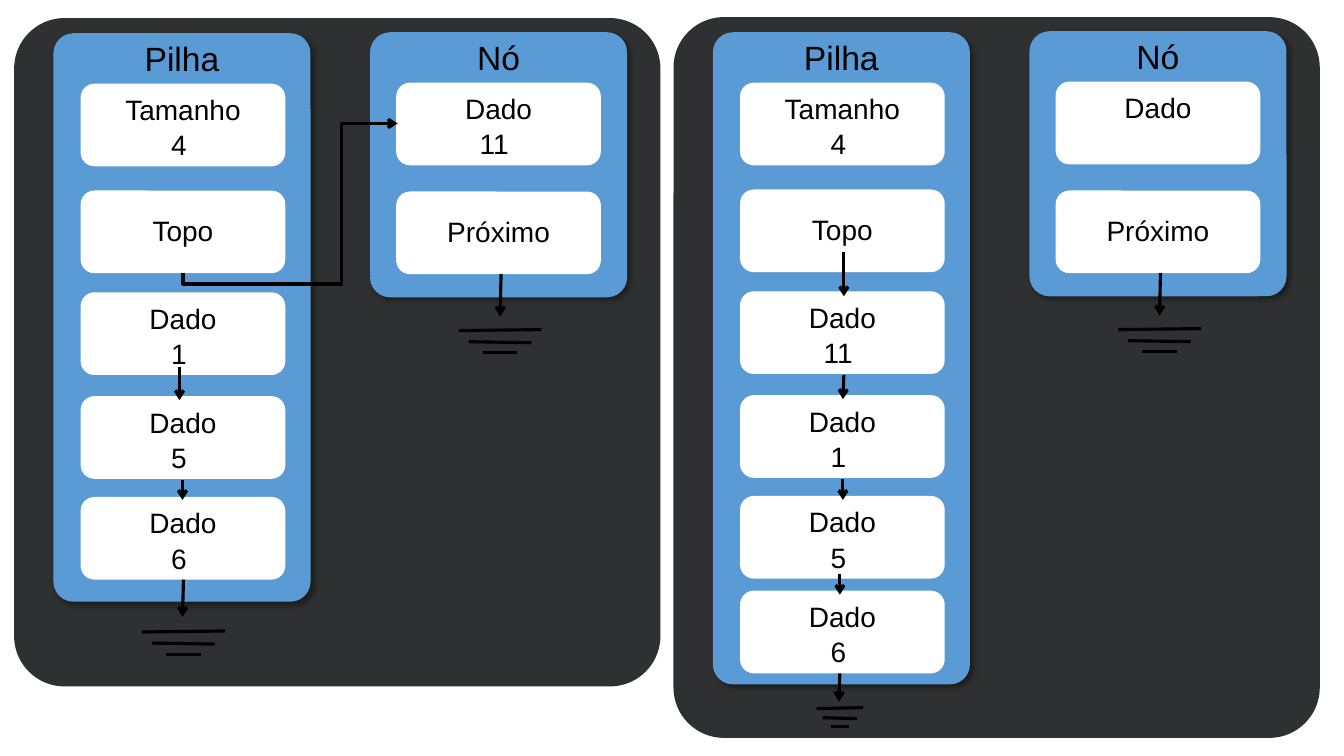
from dataclasses import dataclass

from lxml.etree import SubElement
from pptx import Presentation
from pptx.dml.color import RGBColor as Color
from pptx.enum.shapes import MSO_CONNECTOR as Connector, MSO_SHAPE as Shape
from pptx.enum.text import MSO_AUTO_SIZE as AutoSize, PP_ALIGN as Align
from pptx.oxml.ns import qn
from pptx.util import Pt

EMU_PER_PX = 9144  # 100 px to the inch


@dataclass(frozen=True)
class Theme:
    panel: Color = Color(0x2F, 0x30, 0x31)
    card: Color = Color(0x5B, 0x9B, 0xD5)
    field: Color = Color(0xFF, 0xFF, 0xFF)
    ink: Color = Color(0, 0, 0)
    font: str = "Arial"
    title_size: int = 24
    body_size: int = 20
    line_width: float = 2.25
    card_corner: float = 0.078
    field_corner: float = 0.167


THEME = Theme()
FIELD_WIDTH, FIELD_HEIGHT = 203, 82
CARD_WIDTH = 255
STACK_FIELD_TOPS = (50, 156, 257, 360, 460, 554)
NODE_FIELD_TOPS = (50, 158)
LARGE_GROUND = (82, 62, 34)
SMALL_GROUND = (46, 34, 18)
GROUND_TILTS = (-1, 1, 0)


def px(*lengths):
    return [length * EMU_PER_PX for length in lengths]


def set_values(target, values):
    for name, value in values.items():
        setattr(target, name, value)


def add_round_box(slide, bounds, color, corner):
    shape = slide.shapes.add_shape(Shape.ROUNDED_RECTANGLE, *px(*bounds))
    shape.adjustments[0] = corner
    shape.shadow.inherit = False
    shape.fill.solid()
    shape.fill.fore_color.rgb = color
    shape.line.fill.background()
    return shape


def add_drop_shadow(shape):
    effects = shape._element.spPr.find(qn("a:effectLst"))
    shadow = SubElement(effects, qn("a:outerShdw"), blurRad="50800", dist="38100",
                        dir="2700000", algn="tl", rotWithShape="0")
    color = SubElement(shadow, qn("a:srgbClr"), val=str(THEME.ink))
    SubElement(color, qn("a:alpha"), val="40000")


def add_text(slide, bounds, text, size=THEME.body_size, alignment=Align.CENTER):
    frame = slide.shapes.add_textbox(*px(*bounds)).text_frame
    set_values(frame, {"word_wrap": True, "auto_size": AutoSize.SHAPE_TO_FIT_TEXT})
    paragraph = frame.paragraphs[0]
    paragraph.alignment = alignment
    run = paragraph.add_run()
    run.text = text
    set_values(run.font, {"name": THEME.font, "size": Pt(size)})
    run.font.color.rgb = THEME.ink


def add_field(slide, left, top, label, value=None):
    """A white box: a lone label sits in the middle, one with a value at the top."""
    add_round_box(slide, (left, top, FIELD_WIDTH, FIELD_HEIGHT),
                  THEME.field, THEME.field_corner)
    label_drop = 18 if value is None else 4
    add_text(slide, (left + 31, top + label_drop, 141, 44), label)
    if value:
        digits = len(value)
        add_text(slide, (left + 87 - 7 * digits, top + 39, 28 + 14 * digits, 44),
                 value, alignment=Align.LEFT)


def add_card(slide, left, top, height, title, fields, field_inset, field_tops):
    card = add_round_box(slide, (left, top, CARD_WIDTH, height),
                         THEME.card, THEME.card_corner)
    add_drop_shadow(card)
    add_text(slide, (left + 69, top, 117, 50), title, THEME.title_size)
    for field, field_top in zip(fields, field_tops):
        add_field(slide, left + field_inset, top + field_top, *field)


def add_line(slide, start, end, arrow=False, kind=Connector.STRAIGHT):
    connector = slide.shapes.add_connector(kind, *px(*start, *end))
    connector.line.color.rgb = THEME.ink
    connector.line.width = Pt(THEME.line_width)
    if arrow:
        SubElement(connector.line._get_or_add_ln(), qn("a:tailEnd"), type="arrow")
    SubElement(connector._element.spPr, qn("a:effectLst"))
    return connector


def add_elbow_arrow(slide):
    """The route from Topo to the new node: a four-part elbow turned by 90 degrees."""
    connector = add_line(slide, (362, 303), (214, 90), True, Connector.ELBOW)
    properties = connector._element.spPr
    properties.find(qn("a:xfrm")).set("rot", "5400000")
    geometry = properties.find(qn("a:prstGeom"))
    geometry.set("prst", "bentConnector4")
    guides = geometry.find(qn("a:avLst"))
    if guides is None:
        guides = SubElement(geometry, qn("a:avLst"))
    for name, value in (("adj1", -7600), ("adj2", 73900)):
        SubElement(guides, qn("a:gd"), name=name, fmla=f"val {value}")


def add_ground(slide, center, top, widths, pitch):
    """The end-of-list symbol: three ever shorter lines."""
    for row, (width, tilt) in enumerate(zip(widths, GROUND_TILTS)):
        left, y = center - width // 2, top + row * pitch
        add_line(slide, (left, y), (left + width, y + tilt))


def add_state(slide, left, top, panel_height, stack_height, stack_values, node_value):
    """One panel with the stack on its left and the node on its right."""
    add_round_box(slide, (left, top, 641, panel_height), THEME.panel, THEME.card_corner)
    stack_fields = [("Tamanho", "4"), ("Topo",)]
    stack_fields += [("Dado", value) for value in stack_values]
    node_fields = [("Dado", node_value), ("Próximo",)]
    add_card(slide, left + 353, top + 14, 263, "Nó", node_fields, 26, NODE_FIELD_TOPS)
    add_card(slide, left + 39, top + 15, stack_height, "Pilha", stack_fields, 27,
             STACK_FIELD_TOPS)
    add_line(slide, (left + 483, top + 254), (left + 482, top + 296), True)
    add_ground(slide, left + 482, top + 310, LARGE_GROUND, 11)


def main():
    presentation = Presentation()
    width, height = px(1333, 750)
    set_values(presentation, {"slide_width": width, "slide_height": height})
    slide = presentation.slides.add_slide(presentation.slide_layouts[6])

    add_state(slide, 14, 18, 663, 564, ("1", "5", "6"), "11")
    add_state(slide, 668, 17, 715, 647, ("11", "1", "5", "6"), "")

    stack_arrows = (
        ((178, 364), (178, 397)),
        ((181, 476), (181, 496)),
        ((182, 575), (181, 612)),
        ((837, 250), (837, 294)),
        ((837, 372), (836, 396)),
        ((836, 475), (836, 496)),
        ((833, 569), (833, 590)),
        ((833, 668), (832, 696)),
    )
    for start, end in stack_arrows:
        add_line(slide, start, end, arrow=True)
    add_elbow_arrow(slide)
    add_ground(slide, 182, 627, LARGE_GROUND, 11)
    add_ground(slide, 833, 703, SMALL_GROUND, 9)
    presentation.save("out.pptx")


if __name__ == "__main__":
    main()
